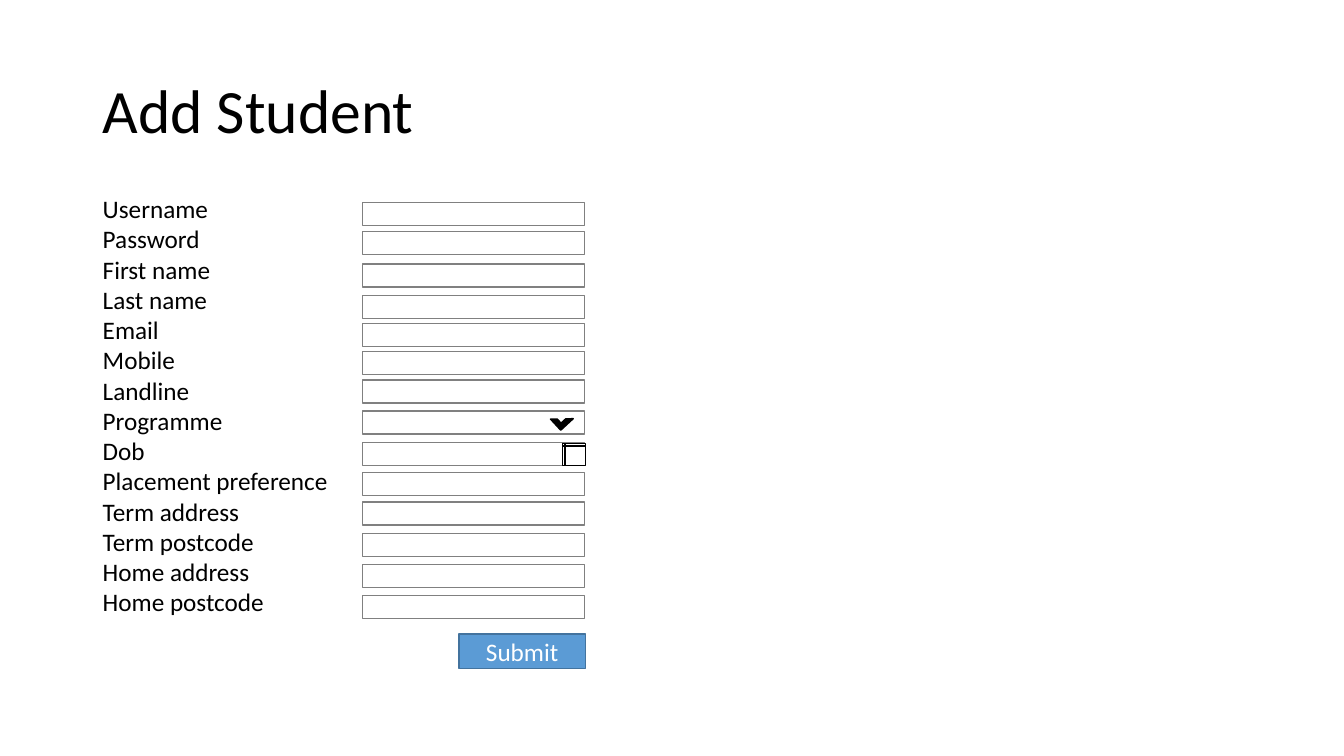
import pptx
import pptx.util
import pptx.dml.color
import pptx.enum.shapes
import pptx.enum.text

Cm = pptx.util.Cm
Pt = pptx.util.Pt
RGB = pptx.dml.color.RGBColor.from_string
SHAPE = pptx.enum.shapes.MSO_SHAPE
ALIGN = pptx.enum.text.PP_ALIGN
ANCHOR = pptx.enum.text.MSO_ANCHOR

TITLE = "Add Student"
BUTTON = "Submit"
FIELDS = [
    ("Username", 5.11),
    ("Password", 5.84),
    ("First name", 6.65),
    ("Last name", 7.44),
    ("Email", 8.15),
    ("Mobile", 8.86),
    ("Landline", 9.58),
    ("Programme", 10.36),
    ("Dob", 11.15),
    ("Placement preference", 11.91),
    ("Term address", 12.65),
    ("Term postcode", 13.44),
    ("Home address", 14.22),
    ("Home postcode", 15.01),
]

THEME = {
    "font": "Calibri",
    "title": 44,
    "body": 18,
    "ink": "000000",
    "paper": "FFFFFF",
    "field_line": "808080",
    "button": "5B9BD5",
    "button_line": "43739E",
}

LEFT = 2.34
FIELD_LEFT, FIELD_WIDTH, FIELD_HEIGHT = 9.14, 5.59, 0.58
FIELD_RIGHT = FIELD_LEFT + FIELD_WIDTH
BUTTON_WIDTH, DATE_WIDTH = 3.18, 0.58


def add_box(slide, kind, box, fill, line=None):
    sp = slide.shapes.add_shape(kind, *map(Cm, box))
    sp.shadow.inherit = False
    sp.fill.solid()
    sp.fill.fore_color.rgb = RGB(fill)
    if line:
        sp.line.color.rgb = RGB(line)
        sp.line.width = Pt(1)
    else:
        sp.line.fill.background()
    return sp


def write(sp, lines, size, color, align=ALIGN.LEFT, spacing=1.0):
    tf = sp.text_frame
    tf.word_wrap = True
    tf.vertical_anchor = ANCHOR.MIDDLE
    tf.text = "\n".join(lines)
    for p in tf.paragraphs:
        p.alignment = align
        p.line_spacing = spacing
        p.font.name = THEME["font"]
        p.font.size = Pt(size)
        p.font.color.rgb = RGB(color)


def main():
    prs = pptx.Presentation()
    prs.slide_width, prs.slide_height = Cm(33.87), Cm(19.05)
    s = prs.slides.add_slide(prs.slide_layouts[6])
    ink, paper = THEME["ink"], THEME["paper"]

    title = s.shapes.add_textbox(Cm(LEFT), Cm(1.02), Cm(29.21), Cm(3.68))
    write(title, [TITLE], THEME["title"], ink, spacing=0.9)

    labels = add_box(s, SHAPE.RECTANGLE, (LEFT, 4.7, 6.65, 11.02), paper)
    write(labels, [name for name, top in FIELDS], THEME["body"], ink)

    for name, top in FIELDS:
        add_box(s, SHAPE.RECTANGLE, (FIELD_LEFT, top, FIELD_WIDTH, FIELD_HEIGHT),
                paper, THEME["field_line"])

    button = add_box(s, SHAPE.RECTANGLE,
                     (FIELD_RIGHT + 0.02 - BUTTON_WIDTH, 15.98, BUTTON_WIDTH, 0.86),
                     THEME["button"], THEME["button_line"])
    write(button, [BUTTON], THEME["body"], paper, ALIGN.CENTER)

    tops = dict(FIELDS)
    arrow = add_box(s, SHAPE.HALF_FRAME, (13.97, tops["Programme"] - 0.02, 0.38, 0.43),
                    ink, ink)
    arrow.rotation = 227.3
    add_box(s, SHAPE.FLOWCHART_INTERNAL_STORAGE,
            (FIELD_RIGHT - DATE_WIDTH + 0.02, tops["Dob"] + 0.02, DATE_WIDTH, 0.56),
            paper, ink)

    prs.save("out.pptx")


if __name__ == "__main__":
    main()
